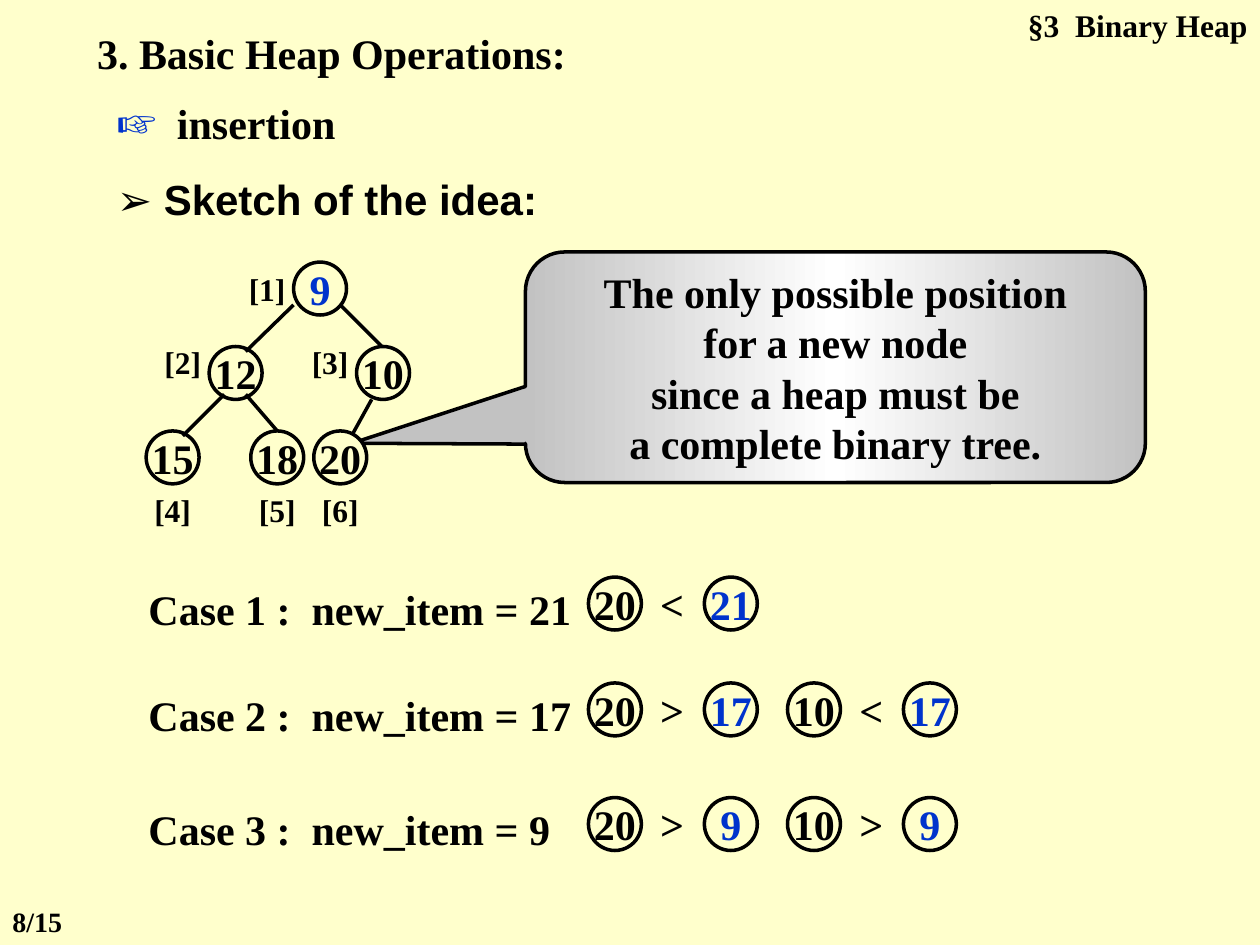
"""Build the slide on inserting into a binary heap."""
from copy import deepcopy
from dataclasses import dataclass
from typing import NamedTuple

from pptx import Presentation
from pptx.dml.color import RGBColor as Rgb
from pptx.enum.shapes import MSO_CONNECTOR as Connector, MSO_SHAPE as Shape
from pptx.enum.text import MSO_ANCHOR as Anchor, MSO_AUTO_SIZE as AutoSize, PP_ALIGN as Align
from pptx.oxml.ns import qn
from pptx.oxml.xmlchemy import OxmlElement
from pptx.util import Inches, Pt


@dataclass(frozen=True)
class Theme:
    """Colours, fonts and type sizes of the slide."""
    paper: Rgb = Rgb(0xFF, 0xFF, 0xCC)
    ink: Rgb = Rgb(0, 0, 0)
    accent: Rgb = Rgb(0x00, 0x33, 0xCC)
    silver: Rgb = Rgb(0xC2, 0xC2, 0xC2)
    white: Rgb = Rgb(0xFF, 0xFF, 0xFF)
    serif: str = "Times New Roman"
    sans: str = "Arial"
    symbol: int = 28
    body: int = 24
    label: int = 18
    page: int = 16
    line: int = 2


class Box(NamedTuple):
    """Left, top, width and height in inches."""
    left: float
    top: float
    width: float
    height: float

    def lengths(self) -> list:
        """Return the four values as lengths."""
        return [Inches(value) for value in self]


class Node(NamedTuple):
    """A circled key of the heap."""
    key: str
    left: float
    top: float
    is_new: bool = False
    filled: bool = False


class Edge(NamedTuple):
    """A line from a parent to a child."""
    x1: float
    y1: float
    x2: float
    y2: float


class IndexLabel(NamedTuple):
    """The array index written beside a node."""
    text: str
    left: float
    top: float


class Comparison(NamedTuple):
    """An existing key compared with the new one."""
    key: str
    sign: str
    item: str


class Case(NamedTuple):
    """One insertion case and its comparisons."""
    text: str
    top: float
    comparisons: tuple


THEME = Theme()
DIAMETER = 0.42
COMPARISON_LEFTS = (4.67, 6.25)
SIGN_OFFSET, ITEM_OFFSET = 0.5, 0.92

EDGES = (
    Edge(1.78, 3.13, 1.45, 3.46),
    Edge(2.33, 2.42, 1.95, 2.79),
    Edge(2.7, 2.42, 3.03, 2.75),
    Edge(1.95, 3.13, 2.2, 3.42),
    Edge(2.95, 3.17, 2.79, 3.46),
)
NODES = (
    Node("12", 1.66, 2.75),
    Node("15", 1.16, 3.42),
    Node("18", 1.99, 3.42),
    Node("20", 2.49, 3.42, filled=True),
    Node("9", 2.33, 2.08, is_new=True, filled=True),
    Node("10", 2.83, 2.75, filled=True),
)
INDEX_LABELS = (
    IndexLabel("[1]", 1.91, 2.17),
    IndexLabel("[2]", 1.24, 2.75),
    IndexLabel("[3]", 2.41, 2.75),
    IndexLabel("[4]", 1.16, 3.92),
    IndexLabel("[5]", 1.99, 3.92),
    IndexLabel("[6]", 2.49, 3.92),
)
CASES = (
    Case("Case 1 :  new_item = 21", 4.58, (Comparison("20", "<", "21"),)),
    Case("Case 2 :  new_item = 17", 5.42,
         (Comparison("20", ">", "17"), Comparison("10", "<", "17"))),
    Case("Case 3 :  new_item = 9", 6.33,
         (Comparison("20", ">", "9"), Comparison("10", ">", "9"))),
)
ADVICE = ("The only possible position", "for a new node",
          "since a heap must be", "a complete binary tree.")


def write(frame, lines: tuple, size: int = THEME.body, color: Rgb = THEME.ink,
          font: str = THEME.serif, align: Align = Align.LEFT) -> None:
    """Write bold lines into a text frame, one paragraph each."""
    for number, line in enumerate(lines):
        paragraph = frame.add_paragraph() if number else frame.paragraphs[0]
        paragraph.text = line
        paragraph.alignment = align
        paragraph.font.size = Pt(size)
        paragraph.font.name = font
        paragraph.font.bold = True
        paragraph.font.color.rgb = color


def write_centered(frame, lines: tuple, size: int = THEME.body, color: Rgb = THEME.ink) -> None:
    """Centre unwrapped lines both ways in a frame without margins."""
    frame.word_wrap = False
    frame.vertical_anchor = Anchor.MIDDLE
    frame.margin_left = frame.margin_right = frame.margin_top = frame.margin_bottom = 0
    write(frame, lines, size, color, align=Align.CENTER)


def add_text(slide, box: Box, text: str, **style):
    """Add a wrapped line of text and return its frame."""
    frame = slide.shapes.add_textbox(*box.lengths()).text_frame
    frame.word_wrap = True
    write(frame, (text,), **style)
    return frame


def add_label(slide, box: Box, text: str, size: int = THEME.body) -> None:
    """Add a centred label."""
    write_centered(slide.shapes.add_textbox(*box.lengths()).text_frame, (text,), size)


def add_outlined(slide, kind: Shape, box: Box):
    """Add a shape with the common outline and no shadow."""
    shape = slide.shapes.add_shape(kind, *box.lengths())
    shape.shadow.inherit = False
    shape.line.color.rgb = THEME.ink
    shape.line.width = Pt(THEME.line)
    return shape


def add_node(slide, node: Node) -> None:
    """Draw a circled key."""
    circle = add_outlined(slide, Shape.OVAL, Box(node.left, node.top, DIAMETER, DIAMETER))
    if node.filled:
        circle.fill.solid()
        circle.fill.fore_color.rgb = THEME.paper
    else:
        circle.fill.background()
    write_centered(circle.text_frame, (node.key,),
                   color=THEME.accent if node.is_new else THEME.ink)


def add_edge(slide, edge: Edge) -> None:
    """Draw a line between two nodes."""
    link = slide.shapes.add_connector(Connector.STRAIGHT, *[Inches(value) for value in edge])
    link.line.color.rgb = THEME.ink
    link.line.width = Pt(THEME.line)
    link._element.spPr.append(OxmlElement("a:effectLst"))


def add_callout(slide) -> None:
    """Draw the callout that points at the free position."""
    callout = add_outlined(slide, Shape.ROUNDED_RECTANGULAR_CALLOUT, Box(4.17, 2, 4.92, 1.83))
    for number, value in enumerate((-0.78, 0.33, 0.17)):
        callout.adjustments[number] = value
    callout.fill.gradient()
    callout.fill.gradient_angle = 0
    first = next(callout._element.spPr.iter(qn("a:gs")))
    first.addnext(deepcopy(first))
    colors = (THEME.silver, THEME.white, THEME.silver)
    for stop, position, color in zip(callout.fill.gradient_stops, (0, 0.5, 1), colors):
        stop.position = position
        stop.color.rgb = color
    write_centered(callout.text_frame, ADVICE)


def add_case(slide, case: Case) -> None:
    """Draw a case with its comparisons on one row."""
    add_text(slide, Box(1.08, case.top, 3.67, 0.5), case.text)
    for left, comparison in zip(COMPARISON_LEFTS, case.comparisons):
        add_node(slide, Node(comparison.key, left, case.top))
        add_label(slide, Box(left + SIGN_OFFSET, case.top, 0.33, DIAMETER), comparison.sign)
        add_node(slide, Node(comparison.item, left + ITEM_OFFSET, case.top, is_new=True))


def add_headings(slide) -> None:
    """Fill the title and add the headings and page number."""
    title = slide.shapes.title
    title.left, title.top, title.width, title.height = Box(0.67, 0.17, 4.08, 0.5).lengths()
    title.text_frame.auto_size = AutoSize.NONE
    title.text_frame.vertical_anchor = Anchor.TOP
    write(title.text_frame, ("3. Basic Heap Operations:",))
    add_text(slide, Box(7.67, 0, 2.33, 0.4), "§3  Binary Heap", size=THEME.label, align=Align.RIGHT)
    insertion = add_text(slide, Box(0.83, 0.67, 2.33, 0.57), "☞").paragraphs[0]
    hand = insertion.runs[0].font
    hand.size, hand.color.rgb = Pt(THEME.symbol), THEME.accent
    insertion.add_run().text = "  insertion"
    add_text(slide, Box(0.83, 1.33, 3.67, 0.5), "➢ Sketch of the idea:", font=THEME.sans)
    add_text(slide, Box(0, 7.13, 0.92, 0.37), "8/15", size=THEME.page)


def main() -> None:
    """Build and save the presentation."""
    deck = Presentation()
    deck.slide_width, deck.slide_height = Inches(10), Inches(7.5)
    slide = deck.slides.add_slide(deck.slide_layouts[5])
    slide.background.fill.solid()
    slide.background.fill.fore_color.rgb = THEME.paper
    add_headings(slide)
    for edge in EDGES:
        add_edge(slide, edge)
    add_callout(slide)
    for node in NODES:
        add_node(slide, node)
    for label in INDEX_LABELS:
        add_label(slide, Box(label.left, label.top, DIAMETER, 0.25), label.text, THEME.label)
    for case in CASES:
        add_case(slide, case)
    deck.save("out.pptx")


if __name__ == "__main__":
    main()
